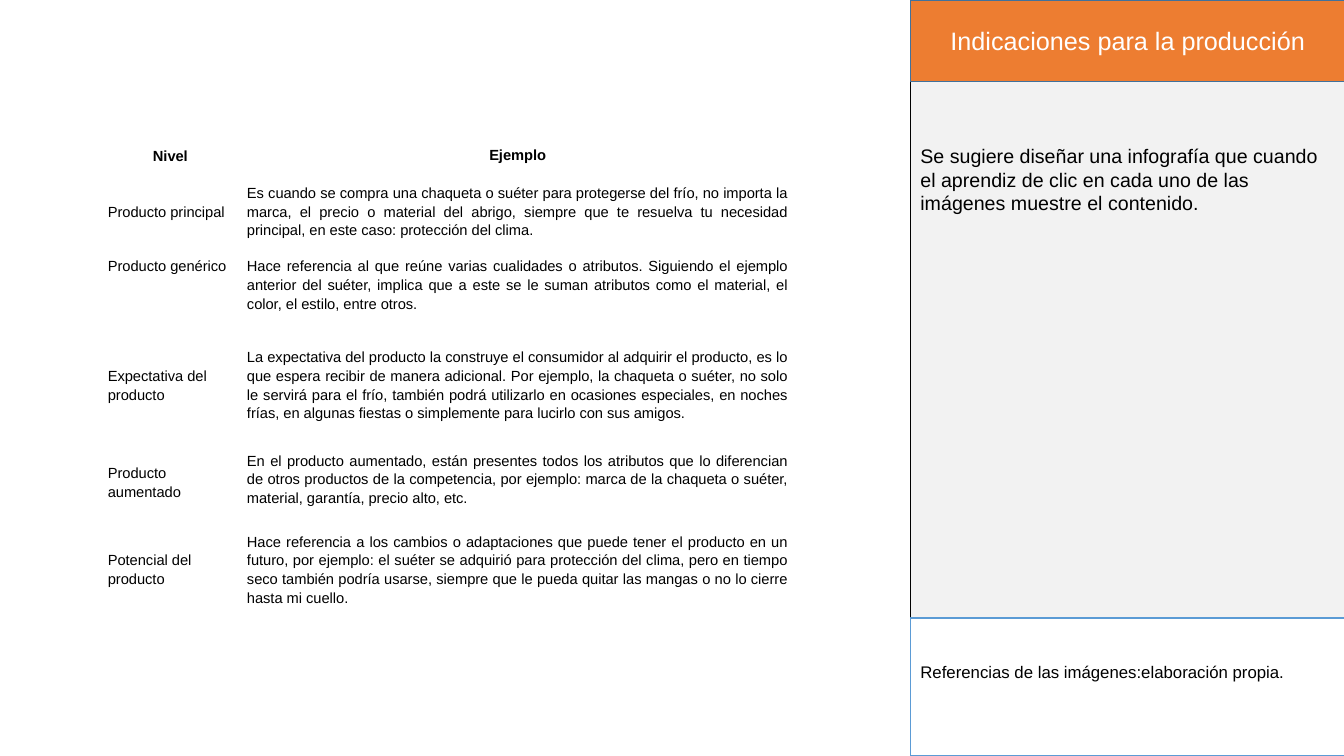
"""Build the slide with the product level table and the production notes panel."""
import pptx
import pptx.dml.color
import pptx.enum.shapes
import pptx.enum.text
import pptx.util

Inches, Pt = pptx.util.Inches, pptx.util.Pt
ALIGN, ANCHOR = pptx.enum.text.PP_ALIGN, pptx.enum.text.MSO_ANCHOR

HEADING = "Indicaciones para la producción"
INSTRUCTION = ("Se sugiere diseñar una infografía que cuando el aprendiz de clic en cada uno "
               "de las imágenes muestre el contenido.")
REFERENCES = "Referencias de las imágenes:elaboración propia."
HEADERS = ("Nivel", "Ejemplo")
LEVELS = [
    ("Producto principal",
     "Es cuando se compra una chaqueta o suéter para protegerse del frío, no importa la marca, "
     "el precio o material del abrigo, siempre que te resuelva tu necesidad principal, en este "
     "caso: protección del clima."),
    ("Producto genérico",
     "Hace referencia al que reúne varias cualidades o atributos. Siguiendo el ejemplo anterior "
     "del suéter, implica que a este se le suman atributos como el material, el color, el "
     "estilo, entre otros."),
    ("Expectativa del producto",
     "La expectativa del producto la construye el consumidor al adquirir el producto, es lo que "
     "espera recibir de manera adicional. Por ejemplo, la chaqueta o suéter, no solo le servirá "
     "para el frío, también podrá utilizarlo en ocasiones especiales, en noches frías, en "
     "algunas fiestas o simplemente para lucirlo con sus amigos."),
    ("Producto aumentado",
     "En el producto aumentado, están presentes todos los atributos que lo diferencian de otros "
     "productos de la competencia, por ejemplo: marca de la chaqueta o suéter, material, "
     "garantía, precio alto, etc."),
    ("Potencial del producto",
     "Hace referencia a los cambios o adaptaciones que puede tener el producto en un futuro, por "
     "ejemplo: el suéter se adquirió para protección del clima, pero en tiempo seco también "
     "podría usarse, siempre que le pueda quitar las mangas o no lo cierre hasta mi cuello."),
]
COL_WIDTHS = (1.38, 5.51)
ROW_HEIGHTS = (0.34, 0.76, 0.76, 1.17, 0.76, 0.97)
TOP_CELLS = {(0, 1), (2, 0), (2, 1), (4, 1)}
TABLE_LEFT, TABLE_TOP = 1, 1.37
PANEL_LEFT, PANEL_WIDTH, SLIDE_HEIGHT = 9.03, 4.31, 7.5
HEADING_HEIGHT, REFERENCES_TOP = 0.81, 6.13


def rgb(value):
    return pptx.dml.color.RGBColor.from_string(value)


def write(tf, text, size, color="000000", bold=False, align=ALIGN.LEFT, spacing=None):
    tf.word_wrap = True
    p = tf.paragraphs[0]
    p.alignment = align
    p.line_spacing = spacing
    r = p.add_run()
    r.text = text
    r.font.name, r.font.size, r.font.bold = "Arial", Pt(size), bold
    r.font.color.rgb = rgb(color)


def paint(sp, fill, line):
    sp.fill.solid()
    sp.fill.fore_color.rgb = rgb(fill)
    sp.line.color.rgb = rgb(line)
    sp.line.width = Pt(1)


def add_panel(s, top, height, fill, line):
    sp = s.shapes.add_shape(pptx.enum.shapes.MSO_SHAPE.RECTANGLE, Inches(PANEL_LEFT),
                            Inches(top), Inches(PANEL_WIDTH), Inches(height))
    sp.shadow.inherit = False
    paint(sp, fill, line)
    return sp


def add_side_panel(s):
    title = s.shapes.title
    panel = add_panel(s, 0, SLIDE_HEIGHT, "F2F2F2", "000000")
    title.element.addprevious(panel.element)

    box = s.shapes.add_textbox(Inches(PANEL_LEFT), Inches(1.38), Inches(PANEL_WIDTH), Inches(3.3))
    write(box.text_frame, INSTRUCTION, 14)

    title.left, title.top = Inches(PANEL_LEFT), 0
    title.width, title.height = Inches(PANEL_WIDTH), Inches(HEADING_HEIGHT)
    paint(title, "ED7D31", "42719B")
    title.text_frame.auto_size = pptx.enum.text.MSO_AUTO_SIZE.NONE
    title.text_frame.vertical_anchor = ANCHOR.MIDDLE
    write(title.text_frame, HEADING, 18, color="FFFFFF", align=ALIGN.CENTER)

    refs = add_panel(s, REFERENCES_TOP, SLIDE_HEIGHT - REFERENCES_TOP, "FFFFFF", "5B9BD5")
    refs.text_frame.vertical_anchor = ANCHOR.MIDDLE
    refs.text_frame.margin_bottom = Inches(0.34)
    write(refs.text_frame, REFERENCES, 12)


def add_level_table(s):
    rows = [HEADERS] + LEVELS
    table = s.shapes.add_table(len(rows), len(HEADERS), Inches(TABLE_LEFT), Inches(TABLE_TOP),
                               Inches(sum(COL_WIDTHS)), Inches(sum(ROW_HEIGHTS))).table
    table.first_row = table.horz_banding = False
    for column, width in zip(table.columns, COL_WIDTHS):
        column.width = Inches(width)
    for i, (texts, height) in enumerate(zip(rows, ROW_HEIGHTS)):
        table.rows[i].height = Inches(height)
        for j, text in enumerate(texts):
            cell = table.cell(i, j)
            cell.fill.background()
            cell.margin_left = cell.margin_right = Inches(0.07)
            cell.margin_top = cell.margin_bottom = Inches(0.07)
            cell.vertical_anchor = ANCHOR.TOP if (i, j) in TOP_CELLS else ANCHOR.MIDDLE
            align = ALIGN.CENTER if i == 0 else (ALIGN.LEFT, ALIGN.JUSTIFY)[j]
            write(cell.text_frame, text, 10.5, bold=i == 0, align=align, spacing=1.15)


def main():
    prs = pptx.Presentation()
    prs.slide_width, prs.slide_height = Inches(13.33), Inches(SLIDE_HEIGHT)
    s = prs.slides.add_slide(prs.slide_layouts[5])
    add_side_panel(s)
    add_level_table(s)
    prs.save("out.pptx")


if __name__ == "__main__":
    main()
